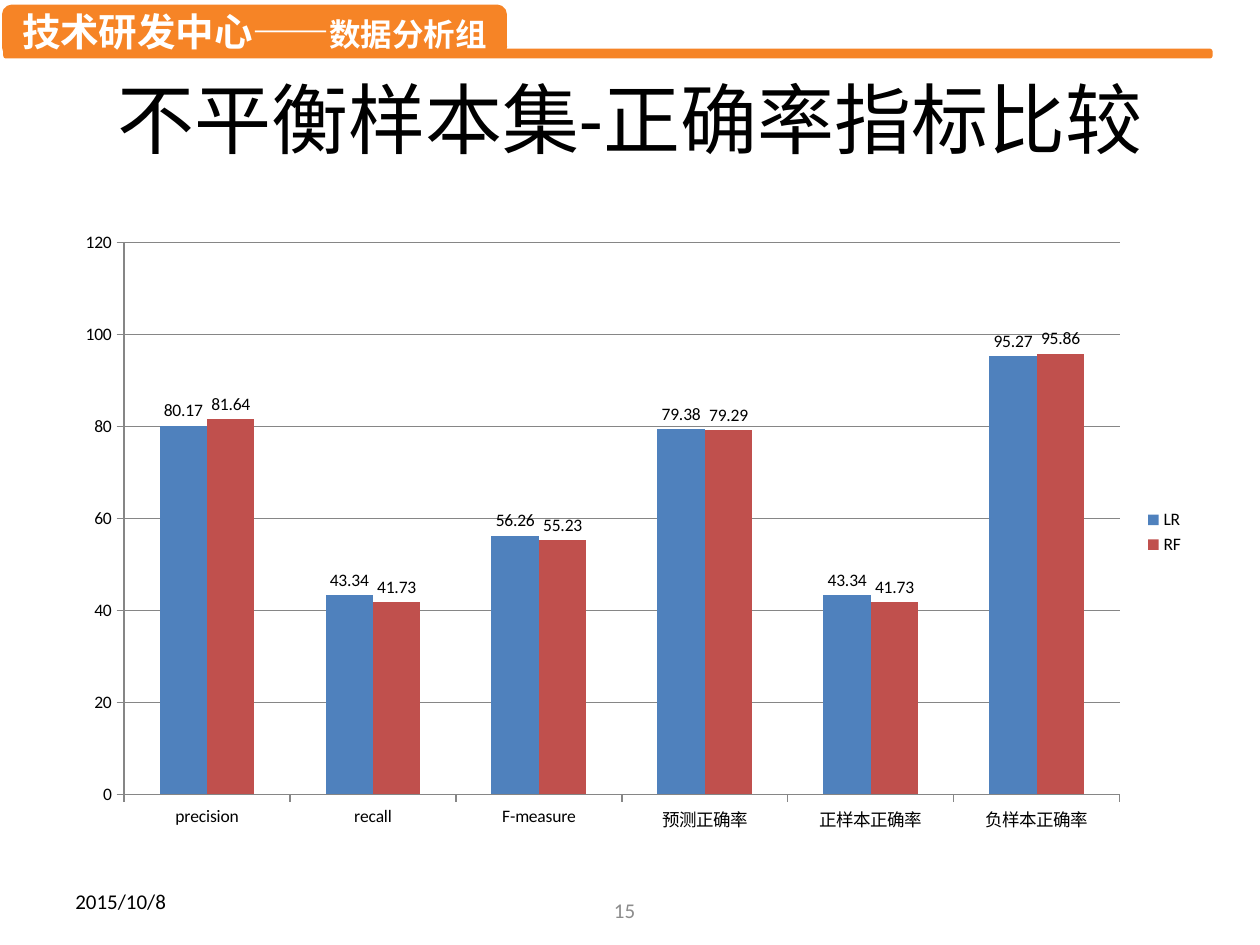
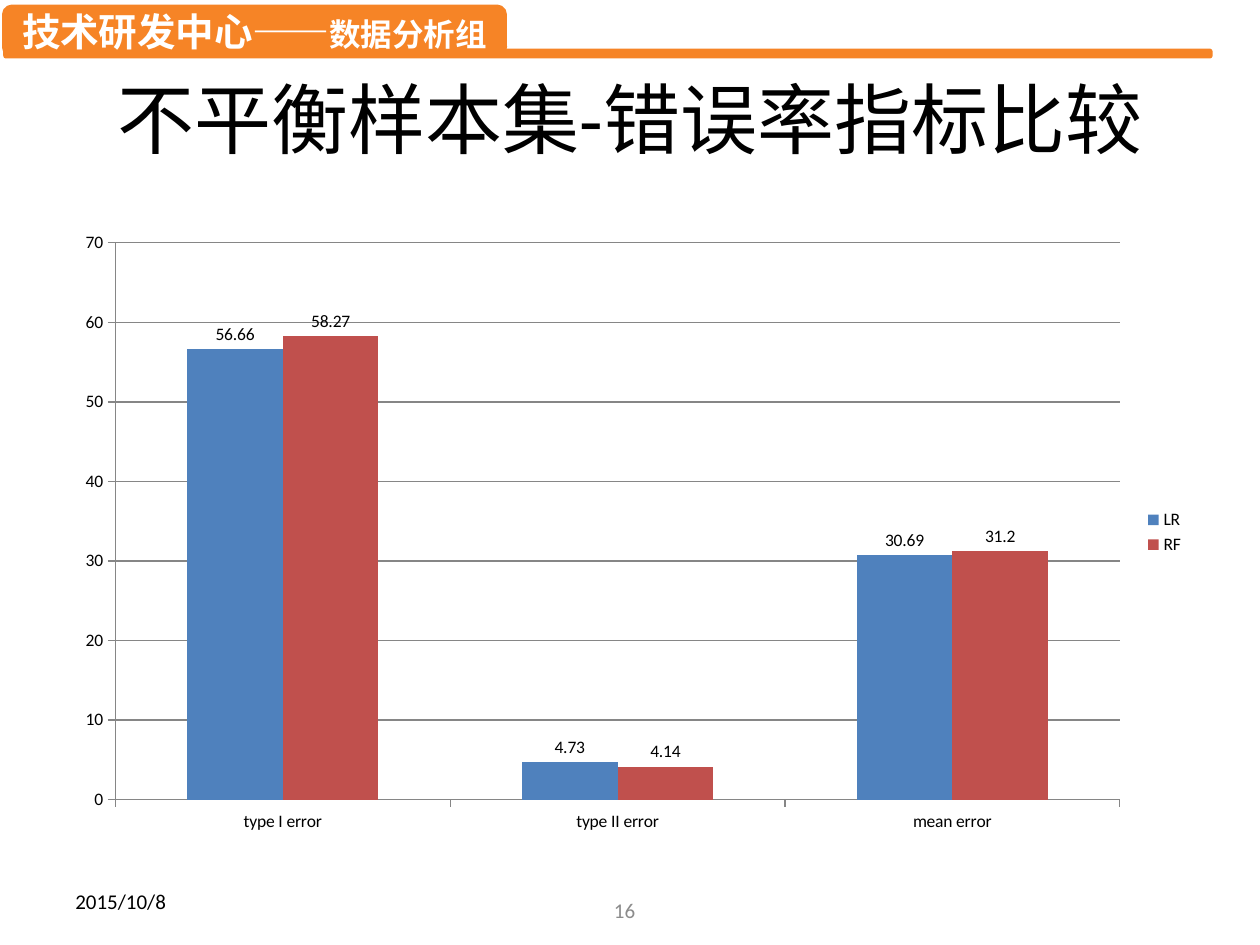
"""Build two slides comparing LR and RF on the unbalanced sample set."""
from dataclasses import dataclass

from lxml import etree
from pptx import Presentation
from pptx.chart.data import CategoryChartData
from pptx.dml.color import RGBColor
from pptx.enum.chart import XL_CHART_TYPE, XL_LABEL_POSITION, XL_LEGEND_POSITION, XL_TICK_MARK
from pptx.enum.shapes import MSO_SHAPE
from pptx.enum.text import MSO_ANCHOR, PP_ALIGN
from pptx.oxml.ns import qn
from pptx.util import Inches, Pt

COLUMNS = XL_CHART_TYPE.COLUMN_CLUSTERED
LABEL_ABOVE = XL_LABEL_POSITION.OUTSIDE_END
LEGEND_RIGHT = XL_LEGEND_POSITION.RIGHT
TICK_OUTSIDE = XL_TICK_MARK.OUTSIDE
ROUNDED = MSO_SHAPE.ROUNDED_RECTANGLE
TOP, MIDDLE = MSO_ANCHOR.TOP, MSO_ANCHOR.MIDDLE
LEFT, CENTER, RIGHT = PP_ALIGN.LEFT, PP_ALIGN.CENTER, PP_ALIGN.RIGHT


@dataclass(frozen=True)
class Theme:
    """Colours, fonts and type sizes shared by the slides."""
    orange: RGBColor = RGBColor(0xF6, 0x84, 0x26)
    white: RGBColor = RGBColor(0xFF, 0xFF, 0xFF)
    black: RGBColor = RGBColor(0, 0, 0)
    grey: RGBColor = RGBColor(0x8C, 0x8C, 0x8C)
    axis: RGBColor = RGBColor(0x86, 0x86, 0x86)
    series: tuple = (RGBColor(0x4F, 0x81, 0xBD), RGBColor(0xC0, 0x50, 0x4D))
    font: str = "Calibri"
    banner_font: str = "Noto Sans CJK SC"
    title_size: Pt = Pt(44)
    center_size: Pt = Pt(22)
    group_size: Pt = Pt(18)
    footer_size: Pt = Pt(12)
    chart_size: Pt = Pt(10)


THEME = Theme()
DATE = "2015/10/8"

SLIDES = [
    {
        "title": "不平衡样本集-正确率指标比较",
        "title_height": 0.79,
        "number": 15,
        "metrics": ["precision", "recall", "F-measure", "预测正确率", "正样本正确率", "负样本正确率"],
        "scores": {
            "LR": [80.17, 43.34, 56.26, 79.38, 43.34, 95.27],
            "RF": [81.64, 41.73, 55.23, 79.29, 41.73, 95.86],
        },
        "scale": (120, 20),
    },
    {
        "title": "不平衡样本集-错误率指标比较",
        "title_height": 1.03,
        "number": 16,
        "metrics": ["type I error", "type II error", "mean error"],
        "scores": {"LR": [56.66, 4.73, 30.69], "RF": [58.27, 4.14, 31.2]},
        "scale": (70, 10),
    },
]


def box(left, top, width, height):
    """Turn a place given in inches into lengths."""
    return [Inches(value) for value in (left, top, width, height)]


def add_band(slide, place):
    """Add one rounded orange band."""
    band = slide.shapes.add_shape(ROUNDED, *box(*place))
    band.shadow.inherit = False
    band.fill.solid()
    band.fill.fore_color.rgb = THEME.orange
    band.line.color.rgb = THEME.orange
    band.line.width = Pt(2)
    return band


def add_header(slide):
    """Add the thin bar and the banner that names the department."""
    add_band(slide, (0.04, 0.4, 9.57, 0.05))
    frame = add_band(slide, (0.03, 0.05, 3.98, 0.39)).text_frame
    frame.vertical_anchor = MIDDLE
    names = frame.paragraphs[0]
    names.alignment = CENTER
    names.font.bold = True
    names.font.color.rgb = THEME.white
    names.font.name = THEME.banner_font
    defaults = names._p.pPr.find(qn("a:defRPr"))
    etree.SubElement(defaults, qn("a:ea"), typeface=THEME.banner_font)
    for name, size in (("技术研发中心——", THEME.center_size), ("数据分析组", THEME.group_size)):
        run = names.add_run()
        run.text = name
        run.font.size = size


def add_text(slide, text, place, size, color, align=LEFT, anchor=MIDDLE):
    """Add one line of text in the body font."""
    frame = slide.shapes.add_textbox(*box(*place)).text_frame
    frame.word_wrap = True
    frame.vertical_anchor = anchor
    line = frame.paragraphs[0]
    line.text = text
    line.alignment = align
    line.font.size = size
    line.font.name = THEME.font
    line.font.color.rgb = color


def add_footer(slide, number):
    """Add the date and the slide number."""
    add_text(slide, DATE, (0.5, 6.95, 2.33, 0.4), THEME.footer_size, THEME.black)
    add_text(slide, str(number), (2.81, 7.02, 2.33, 0.4), THEME.footer_size, THEME.grey, RIGHT)


def style_axes(chart, scale):
    """Set the value scale, tick marks, axis lines and gridlines."""
    values = chart.value_axis
    values.minimum_scale = 0
    values.maximum_scale, values.major_unit = scale
    values.has_major_gridlines = True
    values.major_gridlines.format.line.color.rgb = THEME.axis
    for axis in (chart.category_axis, values):
        axis.major_tick_mark = TICK_OUTSIDE
        axis.format.line.color.rgb = THEME.axis


def add_comparison(slide, metrics, scores, scale):
    """Add the column chart of both models with value labels."""
    data = CategoryChartData()
    data.categories = metrics
    for model, results in scores.items():
        data.add_series(model, results)
    chart = slide.shapes.add_chart(COLUMNS, *box(0.5, 1.75, 9, 4.95), data).chart
    chart.has_title = False
    chart.font.size = THEME.chart_size
    chart.font.name = THEME.font
    chart.font.color.rgb = THEME.black
    chart.has_legend = True
    chart.legend.position = LEGEND_RIGHT
    chart.legend.include_in_layout = False
    style_axes(chart, scale)
    plot = chart.plots[0]
    plot.gap_width = 150
    plot.vary_by_categories = False
    for model, color in zip(plot.series, THEME.series):
        model.format.fill.solid()
        model.format.fill.fore_color.rgb = color
        model.data_labels.show_value = True
        model.data_labels.position = LABEL_ABOVE


def add_slide(deck, content):
    """Build one comparison slide."""
    slide = deck.slides.add_slide(deck.slide_layouts[6])
    add_header(slide)
    add_text(slide, content["title"], (0.5, 0.52, 9, content["title_height"]),
             THEME.title_size, THEME.black, CENTER, TOP)
    add_footer(slide, content["number"])
    add_comparison(slide, content["metrics"], content["scores"], content["scale"])


def main():
    """Build and save the deck."""
    deck = Presentation()
    deck.slide_width, deck.slide_height = Inches(10), Inches(7.5)
    for content in SLIDES:
        add_slide(deck, content)
    deck.save("out.pptx")


main()
